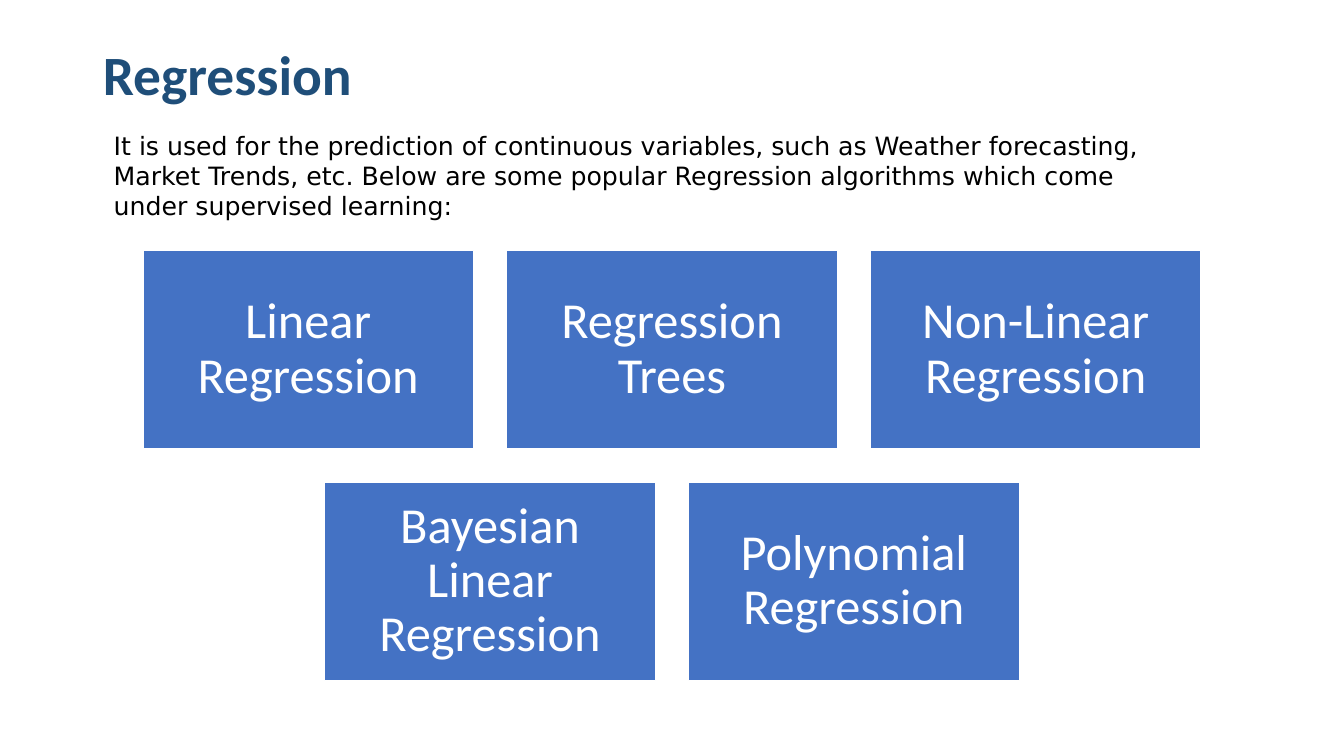
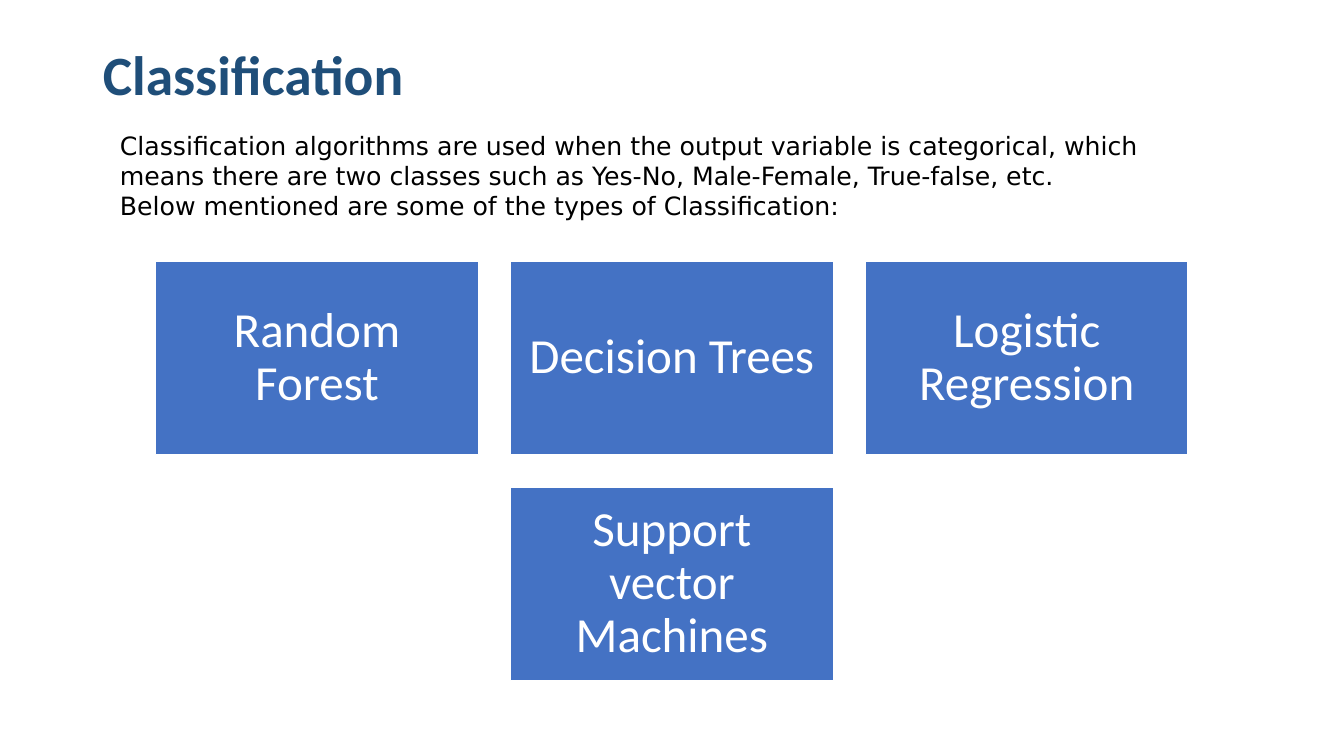
from dataclasses import dataclass

from pptx import Presentation
from pptx.dml.color import RGBColor
from pptx.enum.shapes import MSO_SHAPE as Shape
from pptx.enum.text import MSO_ANCHOR as Anchor, MSO_AUTO_SIZE as AutoSize, PP_ALIGN as Align
from pptx.util import Inches, Pt

COLORS = {"title": "1F4E79", "tile": "4472C4", "white": "FFFFFF", "text": "000000"}
PAGE_WIDTH, PAGE_HEIGHT = 13.33, 7.5
TITLE_ONLY = 5
COLUMNS = 3
TILES_BOTTOM = 6.75


@dataclass(frozen=True)
class Topic:
    title: str
    intro: tuple[str, ...]
    intro_left: float
    intro_width: float
    tiles: tuple[str, ...]
    tile_width: float
    tile_size: int


TOPICS = (
    Topic(
        title="Regression",
        intro=(
            "It is used for the prediction of continuous variables, such as Weather "
            "forecasting, Market Trends, etc. Below are some popular Regression "
            "algorithms which come under supervised learning:",
        ),
        intro_left=1.03,
        intro_width=10.64,
        tiles=(
            "Linear Regression",
            "Regression Trees",
            "Non-Linear Regression",
            "Bayesian Linear Regression",
            "Polynomial Regression",
        ),
        tile_width=3.28,
        tile_size=36,
    ),
    Topic(
        title="Classification",
        intro=(
            "Classification algorithms are used when the output variable is categorical, "
            "which means there are two classes such as Yes-No, Male-Female, True-false, etc.",
            "Below mentioned are some of the types of Classification:",
        ),
        intro_left=1.09,
        intro_width=10.45,
        tiles=(
            "Random Forest",
            "Decision Trees",
            "Logistic Regression",
            "Support vector Machines",
        ),
        tile_width=3.2,
        tile_size=35,
    ),
)


def color(name: str) -> RGBColor:
    return RGBColor.from_string(COLORS[name])


def write(box, *lines: str, size: float, fill: str, font: str = "Calibri",
          bold: bool = False, align=Align.LEFT, anchor=Anchor.MIDDLE,
          spacing: float = 0.9, inset: float | None = None) -> None:
    """Fill a shape with one formatted paragraph per line."""
    frame = box.text_frame
    frame.word_wrap = True
    frame.auto_size = AutoSize.NONE
    frame.vertical_anchor = anchor
    if inset is not None:
        frame.margin_left = frame.margin_right = Inches(inset)
        frame.margin_top = frame.margin_bottom = Inches(inset)
    for index, line in enumerate(lines):
        para = frame.add_paragraph() if index else frame.paragraphs[0]
        para.alignment = align
        para.line_spacing = spacing
        span = para.add_run()
        span.text = line
        span.font.name = font
        span.font.size = Pt(size)
        span.font.bold = bold
        span.font.color.rgb = color(fill)


def add_title(page, text: str) -> None:
    box = page.shapes.title
    box.left, box.top = Inches(0.92), Inches(0.4)
    box.width, box.height = Inches(11.5), Inches(0.73)
    write(box, text, size=39.6, fill="title", bold=True)


def add_intro(page, topic: Topic) -> None:
    box = page.shapes.add_textbox(Inches(topic.intro_left), Inches(1.24),
                                  Inches(topic.intro_width), Inches(1.01))
    write(box, *topic.intro, size=18, fill="text", font="DejaVu Sans",
          anchor=Anchor.TOP, spacing=1.0)


def add_tiles(page, topic: Topic) -> None:
    """Lay the tiles out in centred rows that end at a common bottom edge."""
    width = topic.tile_width
    height, gap = width * 0.6, width * 0.1
    rows = [topic.tiles[i:i + COLUMNS] for i in range(0, len(topic.tiles), COLUMNS)]
    top = TILES_BOTTOM - len(rows) * (height + gap) + gap
    for row_index, row in enumerate(rows):
        left = (PAGE_WIDTH - len(row) * (width + gap) + gap) / 2
        for column, label in enumerate(row):
            tile = page.shapes.add_shape(
                Shape.RECTANGLE,
                Inches(left + column * (width + gap)),
                Inches(top + row_index * (height + gap)),
                Inches(width), Inches(height))
            tile.shadow.inherit = False
            tile.fill.solid()
            tile.fill.fore_color.rgb = color("tile")
            tile.line.color.rgb = color("white")
            tile.line.width = Pt(1)
            write(tile, label, size=topic.tile_size, fill="white",
                  align=Align.CENTER, inset=0.15)


def main() -> None:
    deck = Presentation()
    deck.slide_width, deck.slide_height = Inches(PAGE_WIDTH), Inches(PAGE_HEIGHT)
    for topic in TOPICS:
        page = deck.slides.add_slide(deck.slide_layouts[TITLE_ONLY])
        add_title(page, topic.title)
        add_tiles(page, topic)
        add_intro(page, topic)
    deck.save("out.pptx")


if __name__ == "__main__":
    main()
